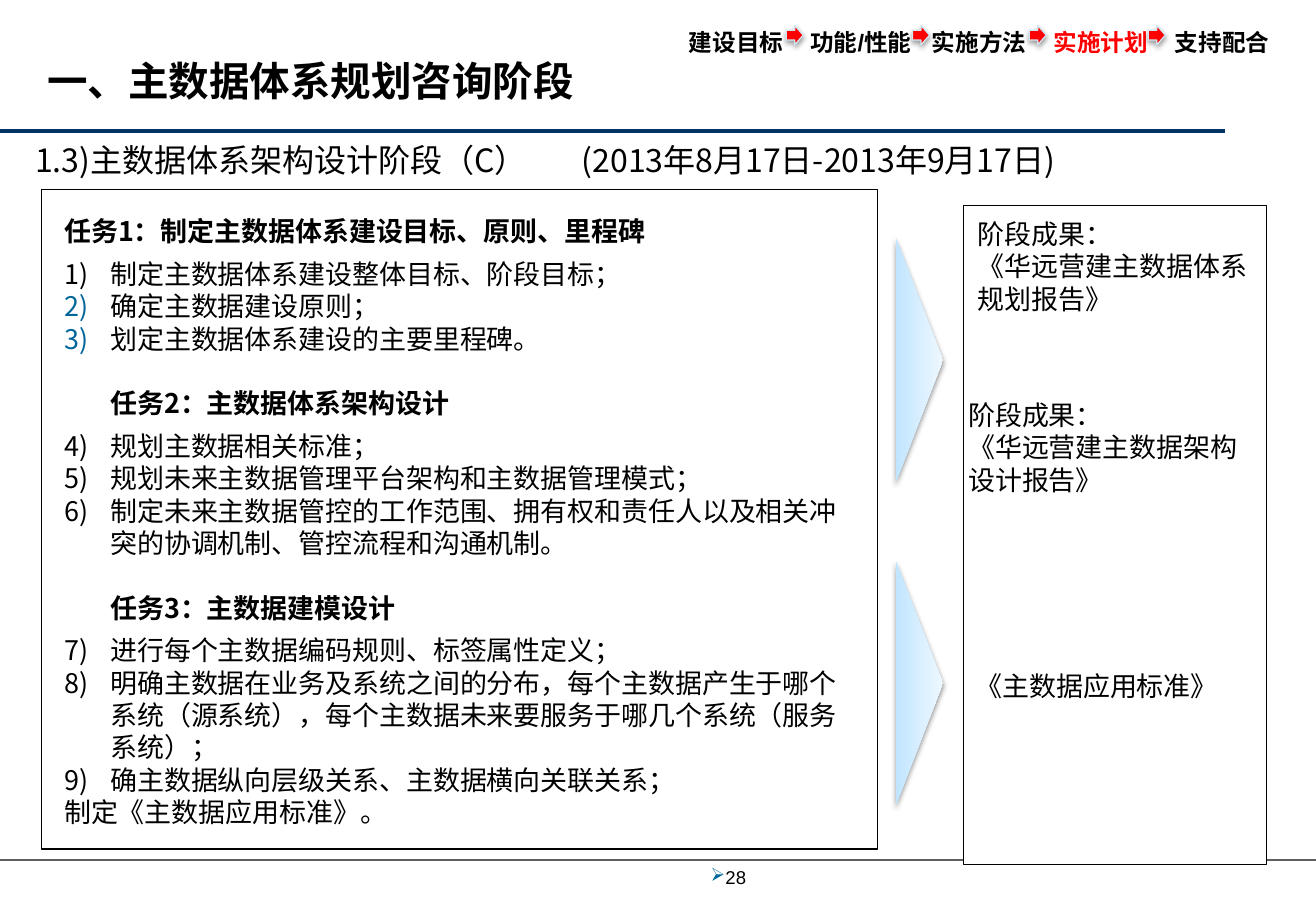
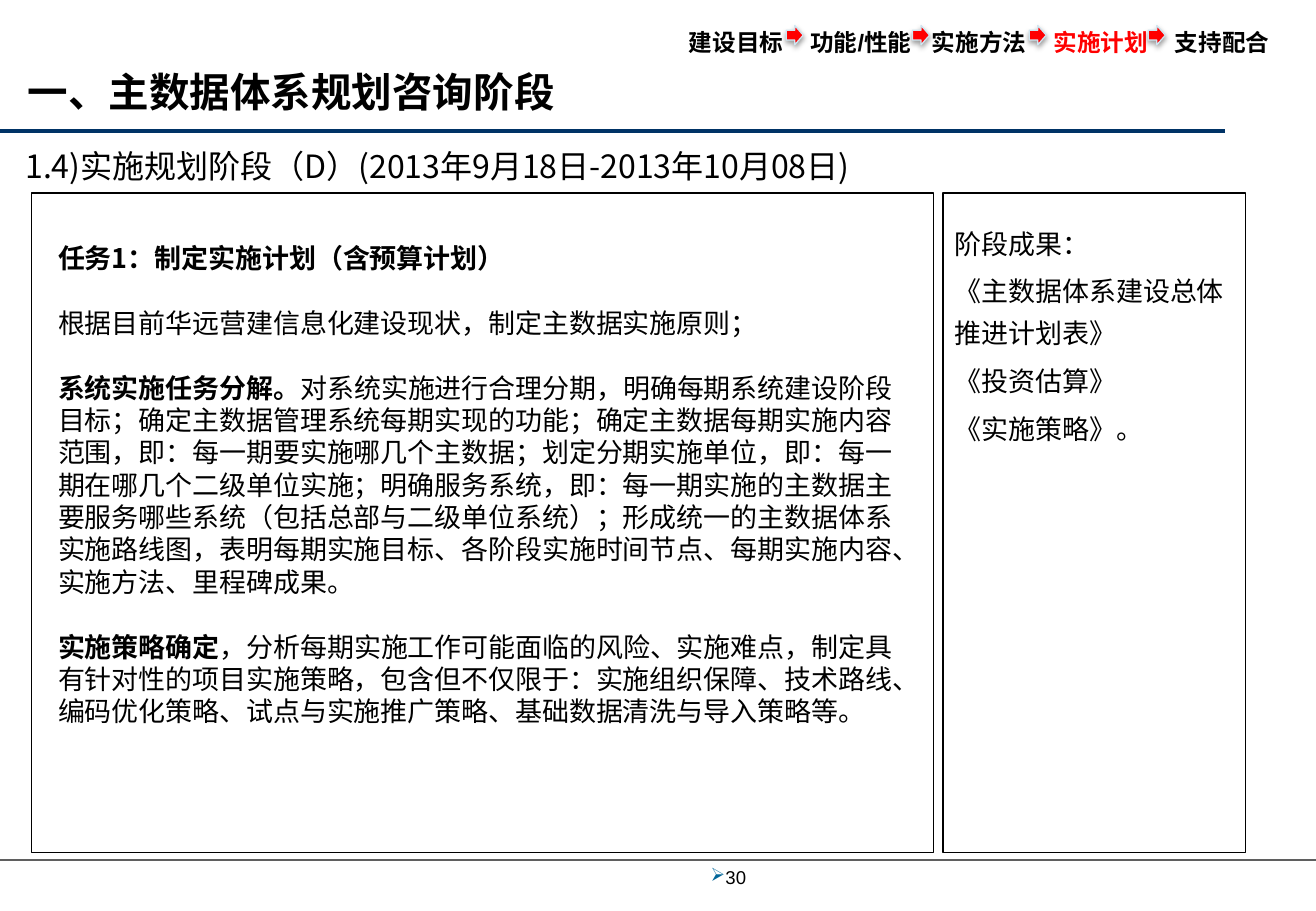
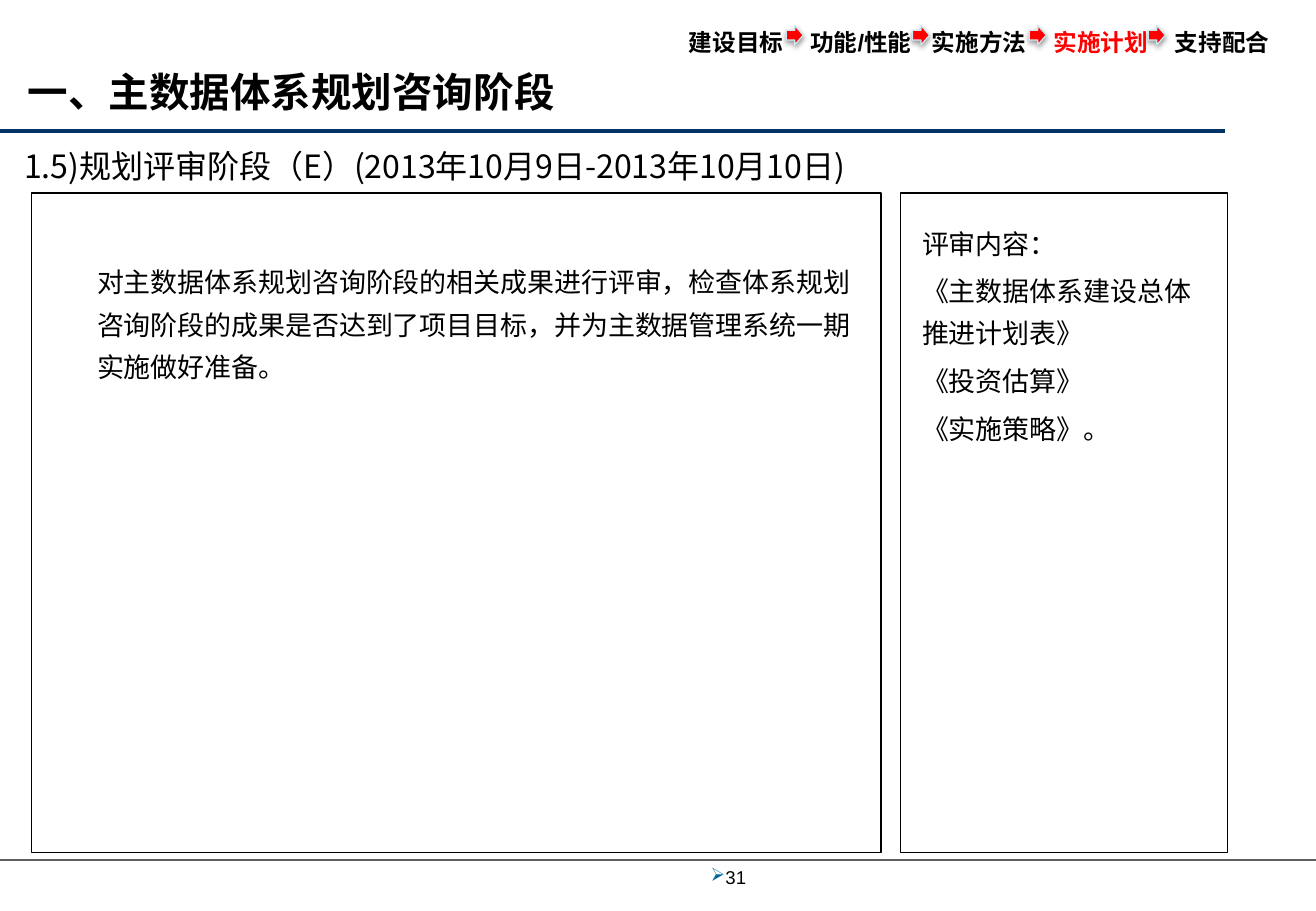
from dataclasses import dataclass

from lxml.etree import SubElement
from pptx import Presentation
from pptx.dml.color import RGBColor
from pptx.enum.shapes import MSO_CONNECTOR, MSO_SHAPE
from pptx.enum.text import MSO_ANCHOR, MSO_AUTO_SIZE, PP_ALIGN
from pptx.oxml.ns import qn
from pptx.util import Emu, Inches, Pt


@dataclass(frozen=True)
class Theme:
    black: str = "000000"
    white: str = "FFFFFF"
    red: str = "FF0000"
    navy: str = "003366"
    gray: str = "5F5F5F"
    blue: str = "006699"
    edge: str = "D0E6F1"
    deep: str = "C1E5FF"
    pale: str = "EEF8FF"
    head: int = 24
    sub: int = 19
    body: int = 16
    nav: int = 14
    page: int = 11
    font: str = "Noto Sans CJK SC"
    latin: str = "Arial"
    tight: float = 1.2
    loose: float = 1.56


T = Theme()
LINE = T.body * T.tight  # height of one body line, in points
AIRY = dict(lead=T.loose, after=T.body * 0.2)


def rgb(code):
    return RGBColor.from_string(code)


def node(parent, tag, **attrs):
    return SubElement(parent, qn(tag), {k: str(v) for k, v in attrs.items()})


def style(run, size=T.body, color=T.black, bold=False, font=T.font):
    run.font.size, run.font.bold, run.font.name = Pt(size), bold, font
    run.font.color.rgb = rgb(color)
    east = node(run.font._element, "a:ea", typeface=T.font)
    run.font._element.find(qn("a:latin")).addnext(east)


def layout(para, size, lead=T.tight, before=0, after=0, inset=0, hang=0,
           mark=None, tint=None, tabs=()):
    """Set spacing, indent, bullet and tab stops of a paragraph."""
    para.alignment = PP_ALIGN.LEFT
    para.line_spacing = Pt(round(size * lead, 1))
    para.space_before, para.space_after = Pt(before), Pt(after)
    props = para._p.get_or_add_pPr()
    props.set("marL", str(Inches(inset)))
    props.set("indent", str(-Inches(hang)))
    if tint:
        node(node(props, "a:buClr"), "a:srgbClr", val=tint)
    if mark == "1)":
        node(props, "a:buAutoNum", type="arabicParenR")
    elif mark:
        node(props, "a:buChar", char=mark)
    if tabs:
        stops = node(props, "a:tabLst")
        for stop in tabs:
            node(stops, "a:tab", pos=Inches(stop), algn="l")


def write(frame, paras, size=T.body, color=T.black, bold=False, font=T.font,
          **form):
    """Fill a frame. A paragraph is text, or (text or runs, own format)."""
    for i, item in enumerate(paras):
        text, own = item if isinstance(item, tuple) else (item, {})
        para = frame.paragraphs[0] if i == 0 else frame.add_paragraph()
        own = {**form, "bold": bold, **own}
        thick = own.pop("bold")
        layout(para, size, **own)
        runs = [(text, {})] if isinstance(text, str) else text
        for words, look in runs:
            run = para.add_run()
            run.text = words
            style(run, **{"size": size, "color": color, "bold": thick,
                          "font": font, **look})


class Deck:
    steps = ["建设目标", "功能/性能", "实施方法", "实施计划", "支持配合"]
    active = 3

    def __init__(self):
        self.prs = Presentation()
        self.prs.slide_width, self.prs.slide_height = Inches(10.83), Inches(7.5)
        self.slide = None

    def start(self, page, title, left, top, high, lead):
        """Begin a slide with its shared frame."""
        self.slide = self.prs.slides.add_slide(self.prs.slide_layouts[5])
        self.rule(7.08, 10.83, T.gray, 1)
        self.rule(1.08, 10.08, T.navy, 2.25)
        self.title(title, left, top, high, lead)
        self.route()
        self.text([page], 5.75, 7.08, 1.58, 0.28, size=T.page, font=T.latin,
                  middle=True, inset=0.12, hang=0.12, mark="➢", tint=T.blue)

    def title(self, words, left, top, high, lead):
        box = self.slide.shapes.title
        box.left, box.top = Inches(left), Inches(top)
        box.width, box.height = Inches(4.7), Inches(high)
        frame = box.text_frame
        frame.auto_size, frame.word_wrap = MSO_AUTO_SIZE.NONE, True
        frame.vertical_anchor = MSO_ANCHOR.MIDDLE
        frame.margin_left, frame.margin_right = Inches(0.23), Emu(0)
        frame.margin_top = frame.margin_bottom = Inches(0.18)
        write(frame, [words], size=T.head, bold=True, lead=lead)

    def route(self):
        """Draw the step trail at top right."""
        runs = []
        for i, step in enumerate(self.steps):
            tab = "\t" if i else ""
            hue = T.red if i == self.active else T.black
            runs.append((tab + step, {"color": hue}))
        self.text([(runs, {})], 5.57, 0.11, 5.12, 0.41, size=T.nav, bold=True,
                  font=T.latin, lead=T.loose, tabs=(0.92, 1.98, 2.88, 3.8))
        for left in (6.47, 7.51, 8.47, 9.45):
            arrow = self.shape(MSO_SHAPE.RIGHT_ARROW, left, 0.21, 0.14, 0.16,
                               fill=T.red, line=T.edge)
            self.shade(arrow)

    def rule(self, top, wide, color, weight):
        line = self.slide.shapes.add_connector(
            MSO_CONNECTOR.STRAIGHT, 0, Inches(top), Inches(wide), Inches(top))
        line.line.color.rgb, line.line.width = rgb(color), Pt(weight)
        node(line._element.spPr, "a:effectLst")

    def shape(self, kind, left, top, wide, high, fill=None, line=None):
        item = self.slide.shapes.add_shape(
            kind, Inches(left), Inches(top), Inches(wide), Inches(high))
        item.shadow.inherit = False
        if fill:
            item.fill.solid()
            item.fill.fore_color.rgb = rgb(fill)
        if line:
            item.line.color.rgb, item.line.width = rgb(line), Pt(0.75)
        else:
            item.line.fill.background()
        return item

    def shade(self, item):
        """Give a shape a soft shadow below it."""
        cast = node(item._element.spPr.find(qn("a:effectLst")), "a:outerShdw",
                    blurRad=Pt(3.1), dist=Pt(1.6), dir=5400000, rotWithShape=0)
        color = node(cast, "a:srgbClr", val=T.black)
        node(color, "a:alpha", val=38000)

    def panel(self, left, top, wide):
        self.shape(MSO_SHAPE.RECTANGLE, left, top, wide, 5.43,
                   fill=T.white, line=T.black)

    def wedge(self, top):
        item = self.shape(MSO_SHAPE.ISOSCELES_TRIANGLE, 6.55, top, 2.03, 0.39)
        item.rotation = 90
        item.fill.gradient()
        item.fill.gradient_angle = 90
        for stop, color in zip(item.fill.gradient_stops, (T.deep, T.pale)):
            stop.color.rgb = rgb(color)
        self.shade(item)

    def text(self, paras, left, top, wide, high, middle=False, **form):
        box = self.slide.shapes.add_textbox(
            Inches(left), Inches(top), Inches(wide), Inches(high))
        frame = box.text_frame
        frame.word_wrap = True
        if middle:
            frame.vertical_anchor = MSO_ANCHOR.MIDDLE
        write(frame, paras, **form)

    def phase(self, words, left, **form):
        self.text([words], left, 0.92, 9.44, 0.79, middle=True,
                  size=T.sub, **form)


def task(words, **own):
    return words, {"bold": True, "after": 6, **own}


def point(words, tint=None):
    return words, {"inset": 0.38, "hang": 0.38, "mark": "1)", "tint": tint}


def main():
    deck = Deck()
    name = "一、主数据体系规划咨询阶段"
    plans = ["《主数据体系建设总体推进计划表》", "《投资估算》", "《实施策略》。"]
    later = dict(inset=0.38, before=LINE)

    # Architecture design phase
    deck.start("28", name, 0.16, 0.28, 0.76, T.tight)
    deck.panel(7.93, 1.69, 2.49)
    deck.panel(0.34, 1.56, 6.88)
    deck.phase("1.3)主数据体系架构设计阶段（C）\t(2013年8月17日-2013年9月17日)",
               0.19, tabs=(4.4,))
    deck.text(["阶段成果：", "《华远营建主数据体系规划报告》"], 7.95, 1.74, 2.46, 0.91)
    deck.text(["阶段成果：", "《华远营建主数据架构设计报告》"], 7.87, 3.23, 2.46, 0.91)
    deck.text(["《主数据应用标准》"], 7.93, 5.46, 2.47, 0.37)
    deck.text([
        task("任务1：制定主数据体系建设目标、原则、里程碑"),
        point("制定主数据体系建设整体目标、阶段目标；"),
        point("确定主数据建设原则；", T.blue),
        point("划定主数据体系建设的主要里程碑。", T.blue),
        task("任务2：主数据体系架构设计", **later),
        point("规划主数据相关标准；"),
        point("规划未来主数据管理平台架构和主数据管理模式；"),
        point("制定未来主数据管控的工作范围、拥有权和责任人以及相关冲突的协调机制、"
              "管控流程和沟通机制。"),
        task("任务3：主数据建模设计", **later),
        point("进行每个主数据编码规则、标签属性定义；"),
        point("明确主数据在业务及系统之间的分布，每个主数据产生于哪个系统（源系统），"
              "每个主数据未来要服务于哪几个系统（服务系统）；"),
        point("确主数据纵向层级关系、主数据横向关联关系；"),
        "制定《主数据应用标准》。",
    ], 0.43, 1.72, 6.63, 5.2)
    for top in (2.77, 5.43):
        deck.wedge(top)

    # Rollout planning phase
    deck.start("30", name, 0, 0.25, 0.88, T.loose)
    deck.panel(7.76, 1.59, 2.49)
    deck.panel(0.26, 1.59, 7.42)
    deck.phase("1.4)实施规划阶段（D）(2013年9月18日-2013年10月08日)", 0.11,
               lead=T.loose)
    strong = {"bold": True}
    gap = {"before": LINE}
    deck.text([
        ("任务1：制定实施计划（含预算计划）", strong),
        ("根据目前华远营建信息化建设现状，制定主数据实施原则；", gap),
        ([("系统实施任务分解。", strong),
          ("对系统实施进行合理分期，明确每期系统建设阶段目标；"
           "确定主数据管理系统每期实现的功能；确定主数据每期实施内容范围，"
           "即：每一期要实施哪几个主数据；划定分期实施单位，"
           "即：每一期在哪几个二级单位实施；明确服务系统，"
           "即：每一期实施的主数据主要服务哪些系统（包括总部与二级单位系统）；"
           "形成统一的主数据体系实施路线图，表明每期实施目标、各阶段实施时间节点、"
           "每期实施内容、实施方法、里程碑成果。", {})], gap),
        ([("实施策略确定", strong),
          ("，分析每期实施工作可能面临的风险、实施难点，"
           "制定具有针对性的项目实施策略，包含但不仅限于：实施组织保障、技术路线、"
           "编码优化策略、试点与实施推广策略、基础数据清洗与导入策略等。", {})], gap),
    ], 0.38, 1.94, 7.14, 4.41)
    deck.text(["阶段成果：", *plans], 7.76, 1.74, 2.46, 2.01, **AIRY)

    # Plan review phase
    deck.start("31", name, 0, 0.25, 0.88, T.loose)
    deck.panel(7.41, 1.59, 2.69)
    deck.panel(0.26, 1.59, 6.99)
    deck.phase("1.5)规划评审阶段（E）(2013年10月9日-2013年10月10日)", 0.1,
               lead=T.loose)
    deck.text(["对主数据体系规划咨询阶段的相关成果进行评审，"
               "检查体系规划咨询阶段的成果是否达到了项目目标，"
               "并为主数据管理系统一期实施做好准备。"],
              0.7, 2.06, 6.55, 1.16, **AIRY)
    deck.text(["评审内容：", *plans], 7.49, 1.74, 2.46, 2.01, **AIRY)

    deck.prs.save("out.pptx")


if __name__ == "__main__":
    main()
